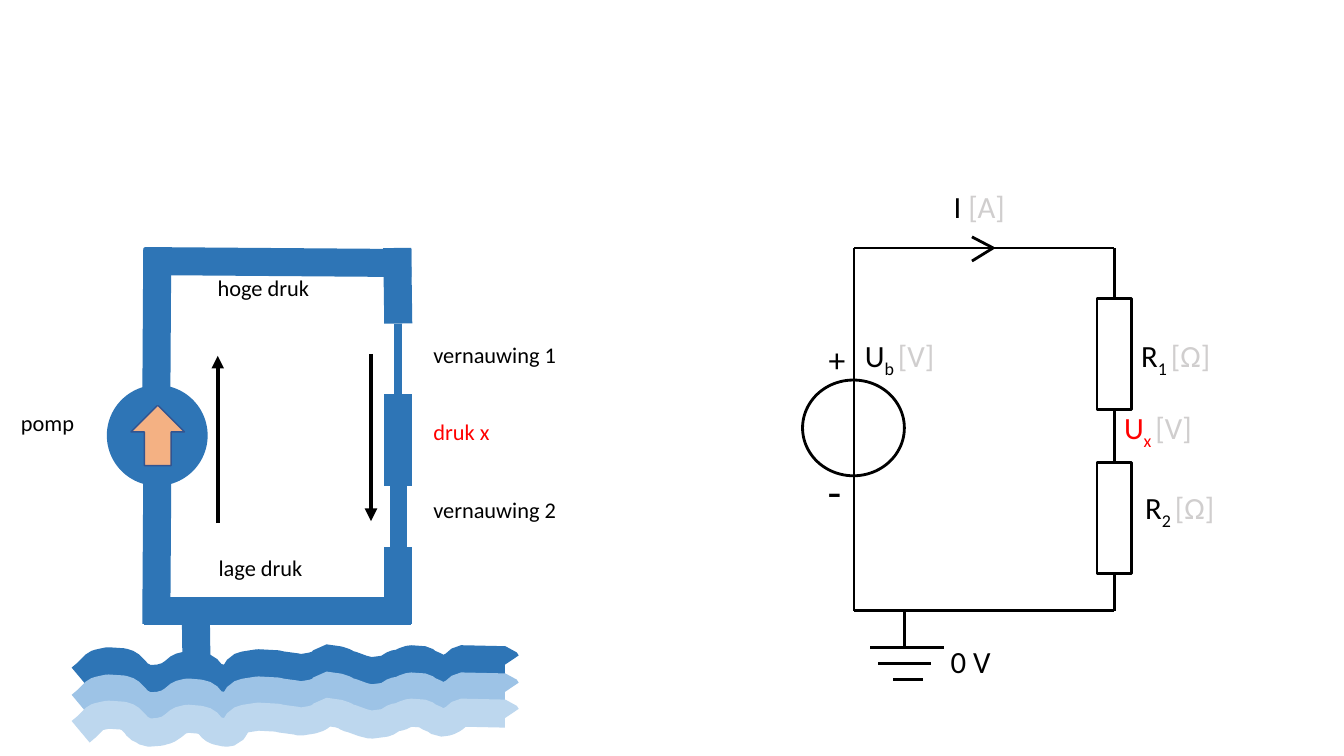
from lxml import etree
from pptx import Presentation
from pptx.dml.color import RGBColor
from pptx.enum.shapes import MSO_CONNECTOR, MSO_SHAPE
from pptx.enum.text import MSO_AUTO_SIZE
from pptx.oxml.ns import qn
from pptx.util import Inches, Pt

STRAIGHT = MSO_CONNECTOR.STRAIGHT
OVAL, RECTANGLE, UP_ARROW = MSO_SHAPE.OVAL, MSO_SHAPE.RECTANGLE, MSO_SHAPE.UP_ARROW
FIT_TEXT = MSO_AUTO_SIZE.SHAPE_TO_FIT_TEXT
TOP, BOTTOM = 0, 2

BLACK = RGBColor(0x00, 0x00, 0x00)
RED = RGBColor(0xFF, 0x00, 0x00)
UNIT_GREY = RGBColor(0xD0, 0xCE, 0xCE)
WATER = RGBColor(0x2E, 0x75, 0xB6)
WATER_MID = RGBColor(0x9D, 0xC3, 0xE6)
WATER_PALE = RGBColor(0xBD, 0xD7, 0xEE)
PUMP_ARROW = RGBColor(0xF4, 0xB1, 0x83)
PUMP_ARROW_EDGE = RGBColor(0x32, 0x54, 0x90)

FONT = "Calibri"
WIRE, FLOW, PIPE = 2, 3, 20

# from x, from y, to x, to y, width in points
PIPES = [
    (1.55, 4.02, 1.56, 2.46, PIPE),
    (1.43, 2.59, 4.08, 2.61, PIPE),
    (3.95, 3.21, 3.94, 2.46, PIPE),
    (1.43, 6.06, 4.08, 6.06, PIPE),
    (1.55, 6.19, 1.56, 4.72, PIPE),
    (3.95, 4.02, 3.95, 3.21, 6),
    (3.95, 5.52, 3.95, 4.72, 12),
    (3.95, 6.19, 3.95, 5.43, PIPE),
    (3.95, 4.82, 3.95, 3.91, PIPE),
    (1.95, 6.68, 1.94, 5.93, PIPE),
]
FLOW_ARROWS = [(3.68, 3.51, 3.68, 5.17), (2.16, 5.19, 2.16, 3.53)]

# left, top, width, height, text, colour
PIPE_LABELS = [
    (0.11, 4.01, 1.01, 0.37, "pomp", BLACK),
    (4.2, 3.34, 2.13, 0.37, "vernauwing 1", BLACK),
    (4.2, 4.87, 2.13, 0.37, "vernauwing 2", BLACK),
    (2.06, 2.67, 2.13, 0.37, "hoge druk", BLACK),
    (2.07, 5.45, 2.13, 0.37, "lage druk", BLACK),
    (4.2, 4.1, 1.11, 0.37, "druk x", RED),
]

WAVE = [
    (0.8, 6.73), (0.86, 6.68), (0.95, 6.59), (0.98, 6.58), (1.07, 6.56), (1.22, 6.57),
    (1.28, 6.59), (1.35, 6.66), (1.37, 6.69), (1.43, 6.72), (1.46, 6.74), (1.59, 6.73),
    (1.62, 6.72), (1.66, 6.71), (1.72, 6.67), (1.78, 6.62), (1.86, 6.6), (1.98, 6.61),
    (2.05, 6.63), (2.11, 6.7), (2.15, 6.72), (2.24, 6.74), (2.3, 6.73), (2.32, 6.7),
    (2.37, 6.62), (2.43, 6.6), (2.56, 6.58), (2.75, 6.59), (2.79, 6.6), (2.94, 6.62),
    (2.98, 6.63), (3.1, 6.61), (3.16, 6.59), (3.2, 6.56), (3.22, 6.53), (3.36, 6.55),
    (3.42, 6.57), (3.45, 6.59), (3.49, 6.6), (3.6, 6.64), (3.68, 6.66), (3.83, 6.64),
    (3.91, 6.59), (3.97, 6.58), (4.01, 6.56), (4.07, 6.54), (4.21, 6.55), (4.25, 6.58),
    (4.32, 6.61), (4.36, 6.64), (4.44, 6.63), (4.5, 6.6), (4.57, 6.54), (5.01, 6.55),
    (5.03, 6.58),
]
WAVES = [(0, WATER), (0.27, WATER_MID), (0.53, WATER_PALE)]  # drop, colour

WIRES = [
    (8.47, 2.46, 8.47, 6.06),
    (11.05, 2.46, 8.47, 2.46),
    (11.05, 6.06, 8.47, 6.06),
    (8.97, 6.05, 8.97, 6.41),
    (9.36, 6.42, 8.63, 6.42),
    (9.23, 6.58, 8.71, 6.58),
    (9.15, 6.74, 8.86, 6.74),
    (9.64, 2.59, 9.85, 2.46),
    (9.85, 2.46, 9.64, 2.35),
]
RESISTORS = [(10.88, 2.96, 0.34, 1.1), (10.88, 4.59, 0.34, 1.1)]

# left, top, width, height, symbol, subscript, unit, colour
QUANTITIES = [
    (8.48, 3.29, 1.17, 0.52, "U", "b ", "[V]", BLACK),
    (9.36, 1.81, 0.83, 0.47, "I ", "", "[A]", BLACK),
    (11.05, 4.01, 1.04, 0.52, "U", "x ", "[V]", RED),
    (11.22, 3.29, 1.12, 0.52, "R", "1 ", "[Ω]", BLACK),
    (11.26, 4.8, 1.12, 0.52, "R", "2 ", "[Ω]", BLACK),
    (9.33, 6.33, 1.04, 0.47, "0 V", "", "", BLACK),
]
POLES = [(8.12, 3.31, 0.34, 0.5, "+", 24), (8.11, 4.55, 0.34, 0.63, "-", 32)]


def style_line(line, colour, width):
    line.color.rgb = colour
    line.width = Pt(width)


def add_line(shapes, ends, colour, width, arrow=False):
    connector = shapes.add_connector(STRAIGHT, *map(Inches, ends))
    style_line(connector.line, colour, width)
    properties = connector._element.spPr
    if arrow:
        etree.SubElement(properties.find(qn("a:ln")), qn("a:tailEnd"), type="triangle")
    etree.SubElement(properties, qn("a:effectLst"))
    return connector


def add_shape(shapes, kind, box, fill=None, edge=None, width=WIRE):
    shape = shapes.add_shape(kind, *map(Inches, box))
    shape.shadow.inherit = False
    if fill is None:
        shape.fill.background()
    else:
        shape.fill.solid()
        shape.fill.fore_color.rgb = fill
    if edge is None:
        shape.line.fill.background()
    else:
        style_line(shape.line, edge, width)
    return shape


def add_label(shapes, box, runs):
    """Add a text box from (text, size, colour, is_subscript) runs."""
    frame = shapes.add_textbox(*map(Inches, box)).text_frame
    frame.word_wrap = True
    frame.auto_size = FIT_TEXT
    for text, size, colour, is_subscript in runs:
        run = frame.paragraphs[0].add_run()
        run.text = text
        for name, value in {"name": FONT, "size": Pt(size)}.items():
            setattr(run.font, name, value)
        run.font.color.rgb = colour
        if is_subscript:
            run._r.get_or_add_rPr().set("baseline", "-25000")


def add_wave(shapes, drop, colour):
    points = [(Inches(x), Inches(y + drop)) for x, y in WAVE]
    builder = shapes.build_freeform(*points[0])
    builder.add_line_segments(points[1:], close=False)
    wave = builder.convert_to_shape()
    wave.shadow.inherit = False
    wave.fill.background()
    style_line(wave.line, colour, PIPE)
    etree.SubElement(wave._element.spPr.find(qn("a:ln")), qn("a:bevel"))


def draw_water_circuit(shapes):
    add_shape(shapes, OVAL, (1.06, 3.82, 1, 1), WATER)
    add_shape(shapes, UP_ARROW, (1.3, 4.02, 0.53, 0.6), PUMP_ARROW, PUMP_ARROW_EDGE, 1)
    for *ends, width in PIPES:
        add_line(shapes, ends, WATER, width)
    for *box, text, colour in PIPE_LABELS:
        add_label(shapes, box, [(text, 16, colour, False)])
    for ends in FLOW_ARROWS:
        add_line(shapes, ends, BLACK, FLOW, arrow=True)
    for drop, colour in WAVES:
        add_wave(shapes, drop, colour)


def draw_electric_circuit(shapes):
    add_shape(shapes, OVAL, (7.96, 3.77, 1.01, 0.95), edge=BLACK)
    for ends in WIRES:
        add_line(shapes, ends, BLACK, WIRE)
    first, second = [add_shape(shapes, RECTANGLE, box, edge=BLACK) for box in RESISTORS]
    supply = add_line(shapes, (11.05, 2.46, 11.05, 2.96), BLACK, WIRE)
    supply.end_connect(first, TOP)
    middle = add_line(shapes, (11.05, 4.06, 11.05, 4.59), BLACK, WIRE)
    middle.begin_connect(first, BOTTOM)
    middle.end_connect(second, TOP)
    ground = add_line(shapes, (11.05, 5.69, 11.05, 6.06), BLACK, WIRE)
    ground.begin_connect(second, BOTTOM)
    for *box, symbol, subscript, unit, colour in QUANTITIES:
        runs = [(symbol, 22, colour, False), (subscript, 22, colour, True),
                (unit, 22, UNIT_GREY, False)]
        add_label(shapes, box, [run for run in runs if run[0]])
    for *box, sign, size in POLES:
        add_label(shapes, box, [(sign, size, BLACK, False)])


def main():
    presentation = Presentation()
    presentation.slide_width = Inches(13.33)
    presentation.slide_height = Inches(7.5)
    slide = presentation.slides.add_slide(presentation.slide_layouts[6])
    draw_water_circuit(slide.shapes)
    draw_electric_circuit(slide.shapes.add_group_shape().shapes)
    presentation.save("out.pptx")


if __name__ == "__main__":
    main()
